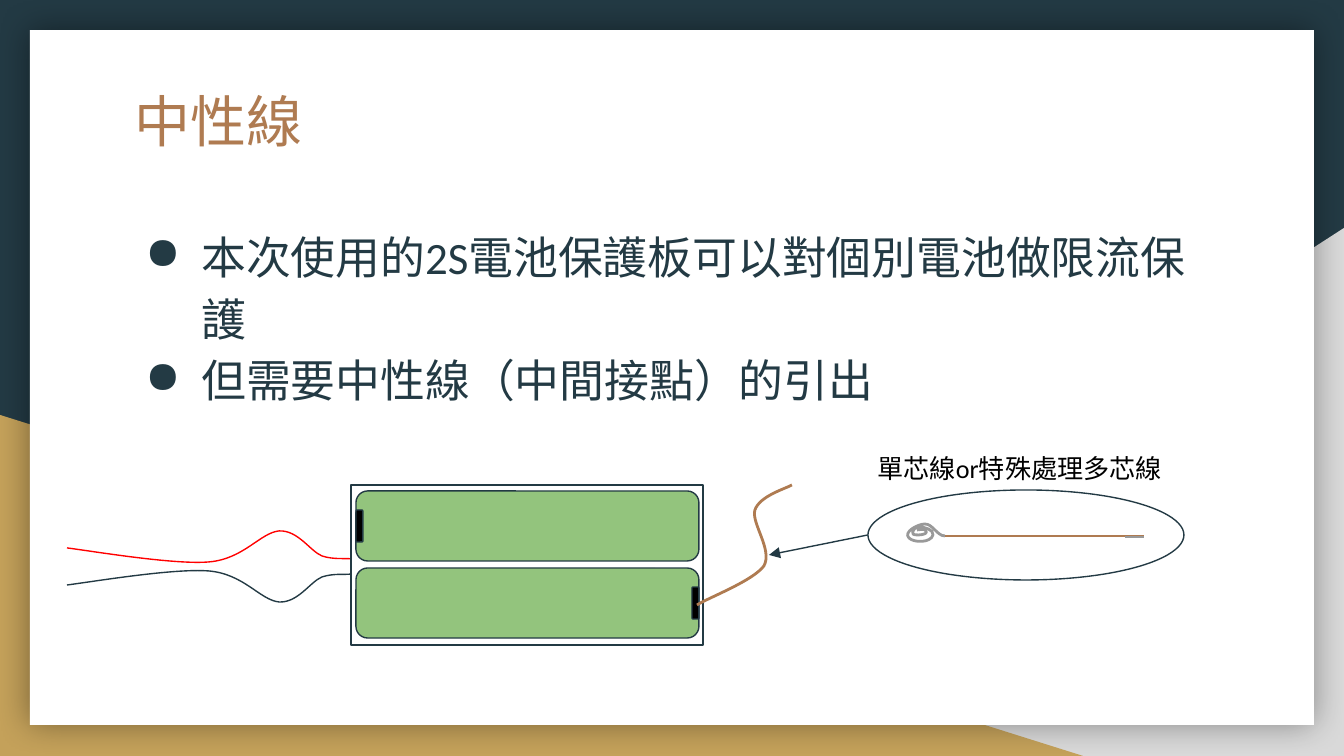
from pptx import Presentation
from pptx.dml.color import RGBColor
from pptx.enum.shapes import MSO_CONNECTOR, MSO_SHAPE as MS
from pptx.oxml import parse_xml
from pptx.oxml.ns import nsdecls, qn
from pptx.util import Pt
from lxml import etree

PX = 914400 / 134.4
DARK, GOLD, COPPER, GREY = "233A44", "C4A15A", "AF7B51", "999999"
GREEN, BLACK, WHITE, RED, LIGHT = "93C47D", "000000", "FFFFFF", "FF0000", "D9D9D9"


def px(n):
    return round(n * PX)


def rgb(color):
    return RGBColor.from_string(color)


def set_line(sp, color, width=0.75):
    sp.line.color.rgb = rgb(color)
    sp.line.width = Pt(width)


def add_shape(s, kind, x, y, w, h, fill=None, line=None):
    sp = s.shapes.add_shape(kind, px(x), px(y), px(w), px(h))
    sp.shadow.inherit = False
    if fill:
        sp.fill.solid()
        sp.fill.fore_color.rgb = rgb(fill)
    else:
        sp.fill.background()
    if line:
        set_line(sp, line)
    else:
        sp.line.fill.background()
    return sp


def add_line(s, x1, y1, x2, y2, color, width=0.75, arrow=False):
    c = s.shapes.add_connector(MSO_CONNECTOR.STRAIGHT, px(x1), px(y1), px(x2), px(y2))
    set_line(c, color, width)
    if arrow:
        etree.SubElement(c.line._get_or_add_ln(), qn("a:tailEnd"), type="triangle")
    etree.SubElement(c._element.spPr, qn("a:effectLst"))


def add_curve(s, x, y, points, color, width=0.75):
    builder = s.shapes.build_freeform(*points[0], scale=PX)
    builder.add_line_segments(points[1:], close=False)
    sp = builder.convert_to_shape(px(x), px(y))
    sp.shadow.inherit = False
    sp.fill.background()
    set_line(sp, color, width)
    segments = sp._element.xpath(".//a:lnTo")
    for i in range(0, len(segments), 3):
        bezier = etree.Element(qn("a:cubicBezTo"))
        segments[i].addprevious(bezier)
        for seg in segments[i:i + 3]:
            bezier.append(seg[0])
            seg.getparent().remove(seg)


def add_text(s, x, y, w, h, lines, size, color, font="Calibri", bullet=None, spacing=None):
    tf = s.shapes.add_textbox(px(x), px(y), px(w), px(h)).text_frame
    tf.word_wrap = True
    tf.margin_left = tf.margin_right = tf.margin_top = tf.margin_bottom = px(13.44)
    for i, line in enumerate(lines):
        p = tf.add_paragraph() if i else tf.paragraphs[0]
        if spacing:
            p.line_spacing = spacing
        if bullet:
            pPr = p._p.get_or_add_pPr()
            pPr.set("marL", str(px(67)))
            pPr.set("indent", str(px(-56)))
            clr = etree.SubElement(pPr, qn("a:buClr"))
            etree.SubElement(clr, qn("a:srgbClr"), val=color)
            etree.SubElement(pPr, qn("a:buChar"), char=bullet)
        r = p.add_run()
        r.text = line
        r.font.name = font
        r.font.size = Pt(size)
        r.font.color.rgb = rgb(color)


def add_backdrop(s, w, h):
    s.background.fill.solid()
    s.background.fill.fore_color.rgb = rgb(DARK)
    right = add_shape(s, MS.RIGHT_TRIANGLE, w - 817, h - 528, 817, 528, LIGHT)
    right._element.spPr.find(qn("a:xfrm")).set("flipH", "1")
    add_shape(s, MS.RIGHT_TRIANGLE, 0, h - 341, 1083, 341, GOLD)
    page = add_shape(s, MS.RECTANGLE, 30, 30, w - 60, h - 61, WHITE)
    effects = page._element.spPr.find(qn("a:effectLst"))
    effects.append(parse_xml(
        f'<a:outerShdw {nsdecls("a")} blurRad="{Pt(18)}" dist="0" dir="0" algn="ctr" rotWithShape="0">'
        f'<a:srgbClr val="{BLACK}"><a:alpha val="40000"/></a:srgbClr></a:outerShdw>'))


def add_content(s, x, y, w):
    add_text(s, x, y, w, 90, ["中性線"], 30, COPPER, font="Quicksand")
    add_text(s, x, y + 135, w, 191,
             ["本次使用的2S電池保護板可以對個別電池做限流保護", "但需要中性線（中間接點）的引出"],
             24, DARK, bullet="●", spacing=1.15)


def add_leads(s, x, y):
    red = [(0, 17), (24, 20), (107, 34), (142, 31), (177, 28), (193, 2), (212, 0),
           (231, -1), (243, 20), (255, 25), (267, 29), (279, 27), (284, 28)]
    add_curve(s, x, y, red, RED)
    add_curve(s, x, y + 71, [(a, -b) for a, b in red], DARK)


def add_pack(s, x, y, w, h):
    add_shape(s, MS.RECTANGLE, x, y, w, h, line=DARK)
    cell_w, cell_h, tab_w = w - 9, 70, 7
    for i, tab_x in enumerate((x + 5, x + w - 4 - tab_w)):
        top = y + 6 + i * 77
        add_shape(s, MS.ROUNDED_RECTANGLE, x + 5, top, cell_w, cell_h, GREEN, DARK)
        add_shape(s, MS.ROUNDED_RECTANGLE, tab_x, top + 19, tab_w, 32, BLACK, DARK)


def add_neutral_wire(s, x, y):
    wire = [(0, 120), (11, 113), (56, 96), (67, 81), (76, 65), (54, 38), (58, 25),
            (63, 11), (88, 4), (95, 0)]
    add_curve(s, x, y, wire, COPPER, 1.5)


def add_callout(s, x, y, w, h):
    coil = [(10, 6), (12, 6), (18, 4), (19, 7), (22, 11), (8, 12), (6, 10),
            (4, 7), (10, 2), (12, 3), (18, 3), (27, 6), (26, 11),
            (24, 19), (7, 19), (2, 14), (-4, 8), (11, 0), (18, 0),
            (26, 0), (30, 12), (38, 12)]
    add_curve(s, x + 39, y + 34, coil, GREY, 1.5)
    add_line(s, x + 77, y + 46, x + 276, y + 46, COPPER, 1.5)
    add_line(s, x + 276, y + 47, x + 257, y + 47, GREY, 1.5)
    add_shape(s, MS.OVAL, x, y, w, h, line=DARK)
    add_line(s, x, y + h / 2, x - 99, y + 65, DARK, arrow=True)
    add_text(s, x - 4, y - 51, 359, 44, ["單芯線or特殊處理多芯線"], 14, BLACK)


def main():
    prs = Presentation()
    prs.slide_width, prs.slide_height = px(1344), px(756)
    s = prs.slides.add_slide(prs.slide_layouts[6])
    add_backdrop(s, 1344, 756)
    add_content(s, 121, 73, 1103)
    add_leads(s, 67, 531)
    add_pack(s, 351, 485, 352, 160)
    add_neutral_wire(s, 697, 485)
    add_callout(s, 868, 490, 316, 90)
    prs.save("out.pptx")


if __name__ == "__main__":
    main()
